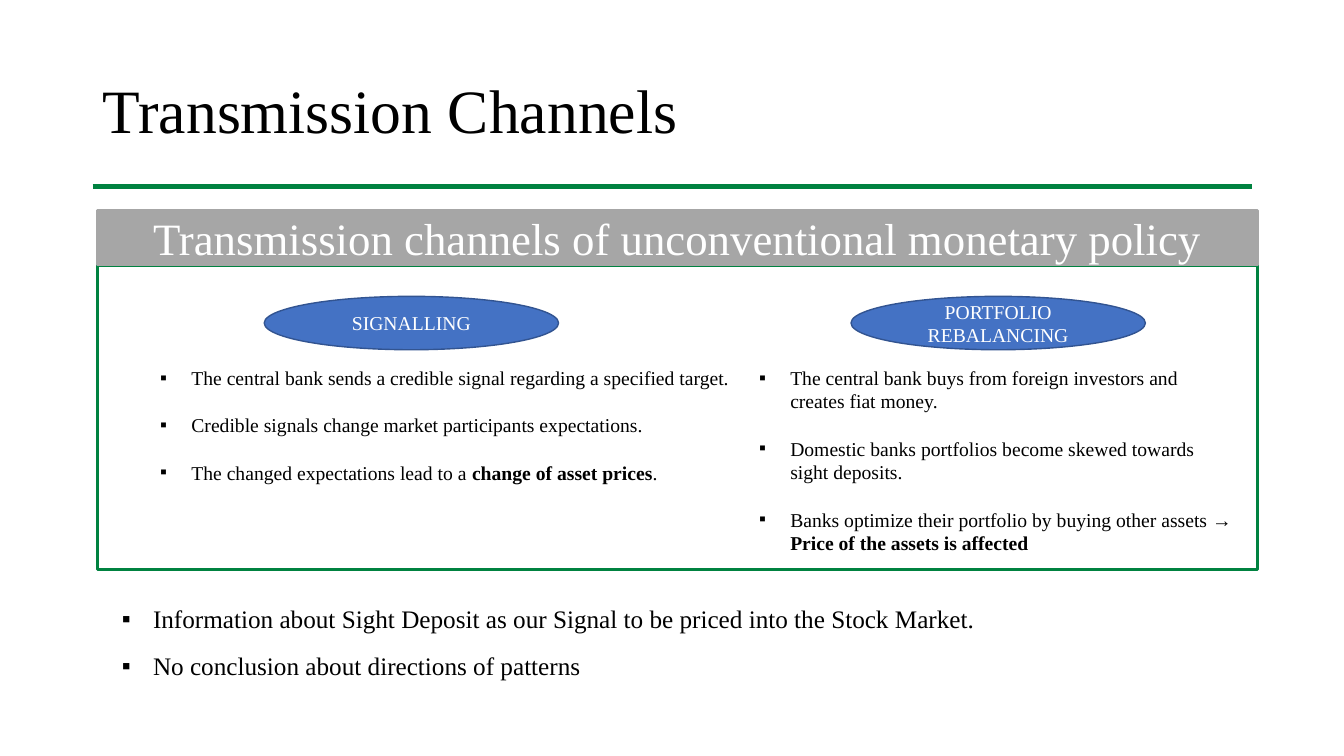
from lxml.etree import SubElement
from pptx import Presentation
from pptx.dml.color import RGBColor
from pptx.enum.shapes import MSO_CONNECTOR, MSO_SHAPE
from pptx.enum.text import MSO_ANCHOR, PP_ALIGN
from pptx.oxml.ns import qn
from pptx.util import Inches, Pt

FONT = "Times New Roman"
GREEN, GREY, BLUE, NAVY = "008240", "A6A6A6", "4472C4", "325491"
BLACK, WHITE = "000000", "FFFFFF"

SIGNAL = [
    ["The central bank sends a credible signal regarding a specified target."],
    ["Credible signals change market participants expectations."],
    ["The changed expectations lead to a ", "change of asset prices", "."],
]
REBALANCE = [
    ["The central bank buys from foreign investors and creates fiat money."],
    ["Domestic banks portfolios become skewed towards sight deposits."],
    ["Banks optimize their portfolio by buying other assets → ",
     "Price of the assets is affected"],
]
SUMMARY = [
    ["Information about Sight Deposit as our Signal to be priced into the Stock Market."],
    ["No conclusion about directions of patterns"],
]


def color(code):
    return RGBColor.from_string(code)


def style(font, size, code):
    font.name, font.size = FONT, Pt(size)
    font.color.rgb = color(code)


def add_title(slide, box, text):
    title = slide.shapes.title
    title.left, title.top, title.width, title.height = map(Inches, box)
    frame = title.text_frame
    frame.text = text
    frame.vertical_anchor = MSO_ANCHOR.MIDDLE
    para = frame.paragraphs[0]
    para.alignment, para.line_spacing = PP_ALIGN.LEFT, 0.9
    style(para.runs[0].font, 44, BLACK)

    left, top, width, height = box
    rule = slide.shapes.add_connector(
        MSO_CONNECTOR.STRAIGHT, Inches(left), Inches(top + height),
        Inches(left + width), Inches(top + height))
    rule.line.color.rgb, rule.line.width = color(GREEN), Pt(3.5)
    SubElement(rule._element.spPr, qn("a:effectLst"))


def add_block(slide, kind, box, fill, edge, weight, text="", size=14):
    """Add a filled or hollow shape with centred white text."""
    shape = slide.shapes.add_shape(kind, *map(Inches, box))
    shape.shadow.inherit = False
    if fill:
        shape.fill.solid()
        shape.fill.fore_color.rgb = color(fill)
    else:
        shape.fill.background()
    shape.line.color.rgb, shape.line.width = color(edge), Pt(weight)
    if text:
        frame = shape.text_frame
        frame.text, frame.word_wrap = text, True
        frame.vertical_anchor = MSO_ANCHOR.MIDDLE
        frame.paragraphs[0].alignment = PP_ALIGN.CENTER
        style(frame.paragraphs[0].runs[0].font, size, WHITE)


def add_list(slide, box, items, size, gap):
    """Add bullets; the second part of each item is bold."""
    frame = slide.shapes.add_textbox(*map(Inches, box)).text_frame
    frame.word_wrap = True
    for i, parts in enumerate(items):
        para = frame.add_paragraph() if i else frame.paragraphs[0]
        if i:
            para.space_before = Pt(gap)
        props = para._p.get_or_add_pPr()
        props.set("marL", str(Inches(0.31)))
        props.set("indent", str(-Inches(0.31)))
        SubElement(props, qn("a:buFont")).set("typeface", FONT)
        SubElement(props, qn("a:buChar")).set("char", "▪")
        for j, part in enumerate(parts):
            run = para.add_run()
            run.text = part
            style(run.font, size, BLACK)
            run.font.bold = j == 1


def add_panel(slide, box):
    left, top, width, height = box
    head = 0.54
    add_block(slide, MSO_SHAPE.RECTANGLE,
              (left, top + head, width, height - head), None, GREEN, 2)
    add_block(slide, MSO_SHAPE.RECTANGLE, (left, top, width, head), GREY, GREY, 2,
              "Transmission channels of unconventional monetary policy", 32)
    channels = [
        ("SIGNALLING", 1.65, SIGNAL, 0.52, 5.85),
        ("PORTFOLIO REBALANCING", 7.47, REBALANCE, 6.46, 4.94),
    ]
    for name, x, items, inset, span in channels:
        add_block(slide, MSO_SHAPE.OVAL, (left + x, top + 0.85, 2.92, 0.53),
                  BLUE, NAVY, 1, name)
        add_list(slide, (left + inset, top + 1.49, span, 2), items, 14, 17)


def main():
    deck = Presentation()
    deck.slide_width, deck.slide_height = Inches(13.33), Inches(7.5)
    slide = deck.slides.add_slide(deck.slide_layouts[5])
    add_title(slide, (0.92, 0.4, 11.5, 1.45), "Transmission Channels")
    add_panel(slide, (0.97, 2.09, 11.5, 3.56))
    add_list(slide, (1.11, 5.94, 10.54, 1.19), SUMMARY, 18, 12)
    deck.save("out.pptx")


if __name__ == "__main__":
    main()
